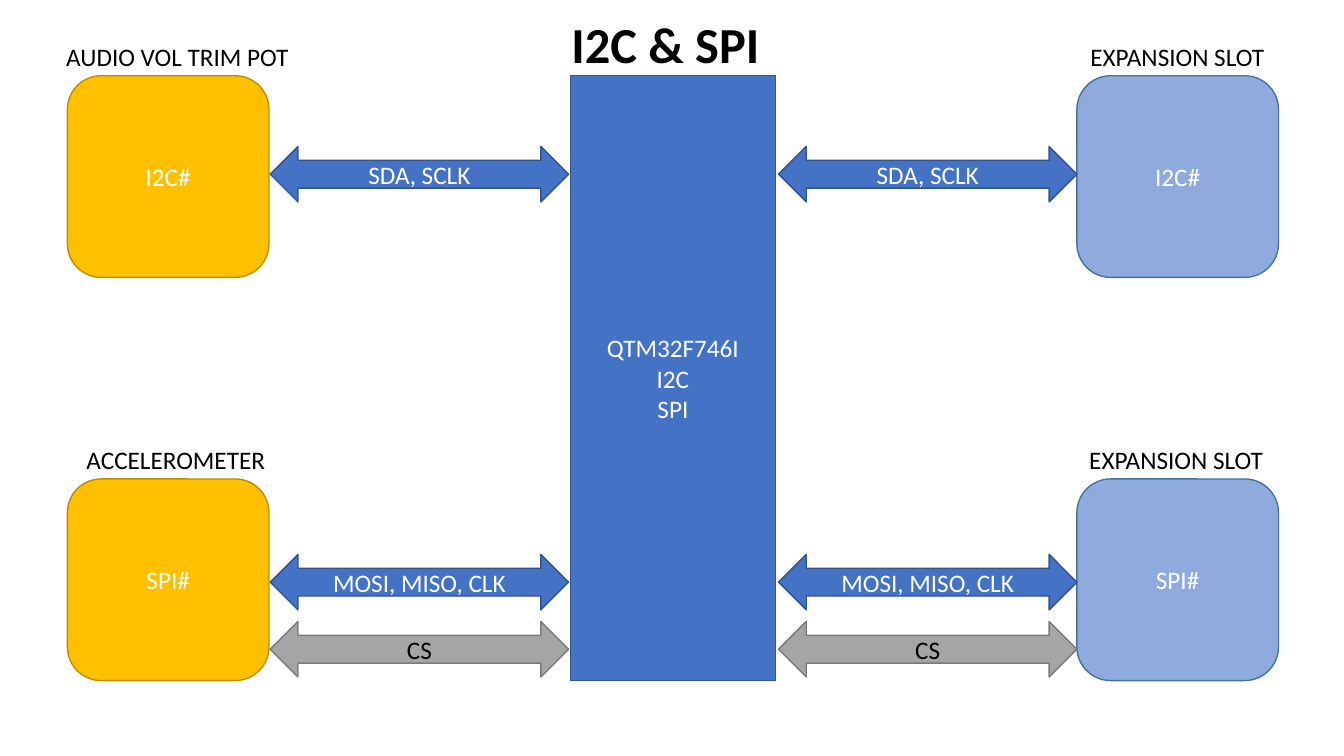
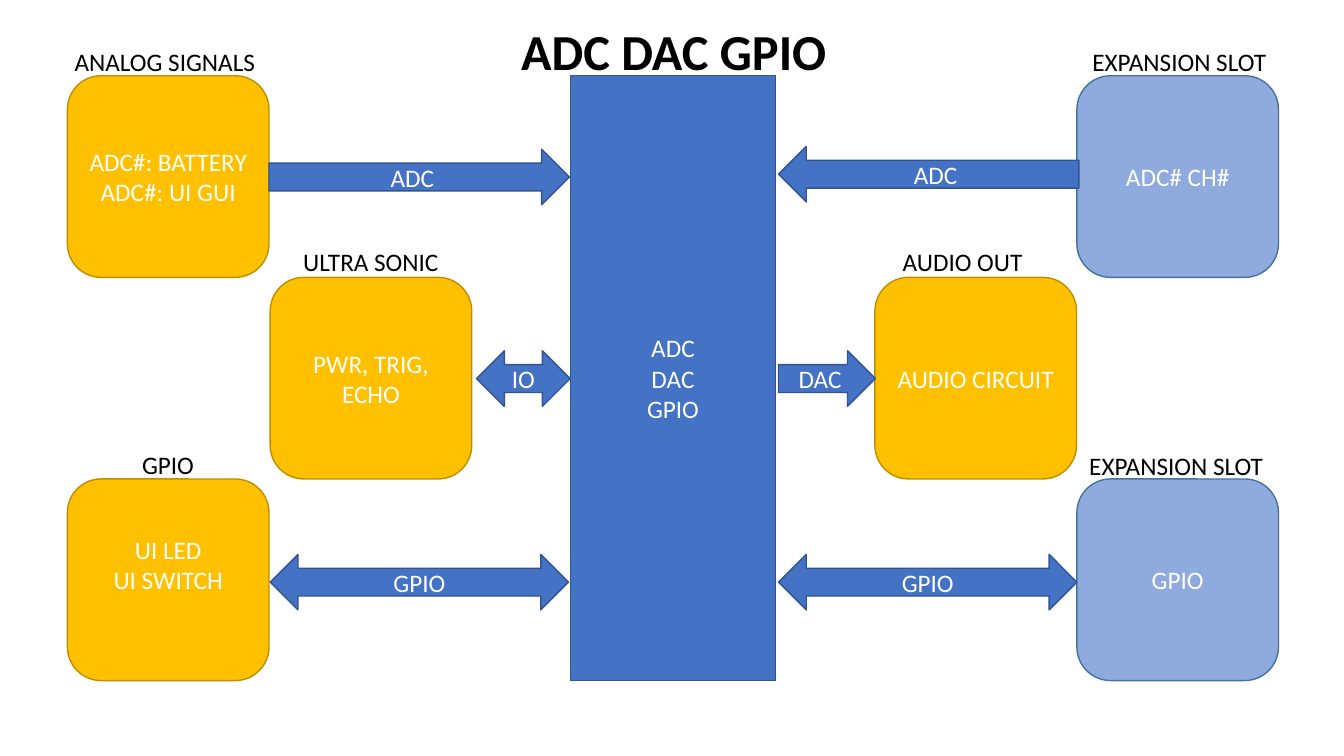
from pptx import Presentation
from pptx.dml.color import RGBColor
from pptx.enum import shapes, text
from pptx.util import Cm, Pt

COLORS = {
    "black": "000000", "white": "FFFFFF",
    "amber": "FFC000", "amber_edge": "BD8E00",
    "blue": "4472C4", "blue_edge": "325491",
    "sky": "8FAADC", "sky_edge": "43739E",
    "grey": "A5A5A5", "grey_edge": "7A7A7A",
}
FONT = "Calibri"
FORMS = shapes.MSO_SHAPE
BOTH, RIGHTWARD, LEFTWARD = FORMS.LEFT_RIGHT_ARROW, FORMS.RIGHT_ARROW, FORMS.LEFT_ARROW

# Shared grid, in centimetres
BOX = 5.08
LEFT, INNER_LEFT, INNER_RIGHT, RIGHT = 1.7, 6.81, 22.05, 27.14
TOP, MIDDLE, BOTTOM = 1.91, 6.99, 12.07
CHIP_LEFT, CHIP_WIDTH, CHIP_HEIGHT = 14.38, 5.16, 15.24
BUS_LEFT, BUS_RIGHT, BUS_WIDTH, BUS_HEIGHT = 6.81, 19.62, 7.52, 1.4
BUS_TOP, BUS_MIDDLE, BUS_BOTTOM, BUS_SELECT = 3.69, 8.84, 13.97, 15.66
LABEL_HEIGHT, TITLE_HEIGHT = 1.03, 1.8


def write_text(holder, words, size=18, color="white", bold=False,
               align=text.PP_ALIGN.CENTER, anchor=text.MSO_ANCHOR.MIDDLE,
               wrap=True, fit=text.MSO_AUTO_SIZE.NONE, bottom=0.13):
    """Fill a shape with one paragraph per line of words and format it."""
    frame = holder.text_frame
    frame.text = words
    frame.word_wrap, frame.auto_size, frame.vertical_anchor = wrap, fit, anchor
    frame.margin_left = frame.margin_right = Cm(0.25)
    frame.margin_top, frame.margin_bottom = Cm(0.13), Cm(bottom)
    for paragraph in frame.paragraphs:
        paragraph.alignment = align
        font = paragraph.font
        font.name, font.size, font.bold = FONT, Pt(size), bold
        font.color.rgb = RGBColor.from_string(COLORS[color])


def add_block(slide, form, place, words, fill, **style):
    """Draw a filled, outlined shape at left, top, width, height with its text."""
    block = slide.shapes.add_shape(form, *(Cm(length) for length in place))
    block.shadow.inherit = False
    block.fill.solid()
    block.fill.fore_color.rgb = RGBColor.from_string(COLORS[fill])
    block.line.color.rgb = RGBColor.from_string(COLORS[fill + "_edge"])
    block.line.width = Pt(1)
    write_text(block, words, **style)


# Title: words, left, top, width. Labels: words, left, top, width.
# Modules: words, left, top, fill, bottom inset.
# Buses: words, form, left, top, width, fill.
diagrams = [
    {
        "title": ("I2C & SPI", 14.15, 0.2, 5.28),
        "chip": "QTM32F746I\nI2C\nSPI",
        "labels": [
            ("AUDIO VOL TRIM POT", 1.42, 0.91, 6.17),
            ("ACCELEROMETER", 1.93, 11.07, 5.05),
            ("EXPANSION SLOT", 27.23, 0.91, 4.93),
            ("EXPANSION SLOT", 27.2, 11.07, 4.93),
        ],
        "modules": [
            ("I2C#", LEFT, TOP, "amber", 0.13),
            ("SPI#", LEFT, BOTTOM, "amber", 0.13),
            ("I2C#", RIGHT, TOP, "sky", 0.13),
            ("SPI#", RIGHT, BOTTOM, "sky", 0.13),
        ],
        "buses": [
            (words, BOTH, left, top, BUS_WIDTH, fill)
            for left in (BUS_LEFT, BUS_RIGHT)
            for words, top, fill in (
                ("SDA, SCLK", BUS_TOP, "blue"),
                ("MOSI, MISO, CLK", BUS_BOTTOM, "blue"),
                ("CS", BUS_SELECT, "grey"),
            )
        ],
    },
    {
        "title": ("ADC DAC GPIO", 12.88, 0.38, 8.28),
        "chip": "ADC\nDAC\nGPIO",
        "labels": [
            ("ANALOG SIGNALS", 1.63, 1.04, 5.11),
            ("GPIO", 3.33, 11.2, 1.83),
            ("EXPANSION SLOT", 27.28, 1.04, 4.93),
            ("EXPANSION SLOT", 27.2, 11.23, 4.93),
            ("ULTRA SONIC", 7.39, 6.07, 3.96),
            ("AUDIO OUT", 22.5, 6.07, 3.56),
        ],
        "modules": [
            ("ADC#: BATTERY\nADC#: UI GUI", LEFT, TOP, "amber", 0.13),
            ("UI LED\nUI SWITCH", LEFT, BOTTOM, "amber", 0.9),
            ("ADC# CH#", RIGHT, TOP, "sky", 0.13),
            ("GPIO", RIGHT, BOTTOM, "sky", 0.13),
            ("PWR, TRIG, ECHO", INNER_LEFT, MIDDLE, "amber", 0.13),
            ("AUDIO CIRCUIT", INNER_RIGHT, MIDDLE, "amber", 0.13),
        ],
        "buses": [
            ("ADC", RIGHTWARD, 6.78, 3.76, 7.57, "blue"),
            ("ADC", LEFTWARD, BUS_RIGHT, BUS_TOP, 7.57, "blue"),
            ("IO", BOTH, 12.01, BUS_MIDDLE, 2.36, "blue"),
            ("DAC", RIGHTWARD, BUS_RIGHT, BUS_MIDDLE, 2.44, "blue"),
            ("GPIO", BOTH, BUS_LEFT, BUS_BOTTOM, BUS_WIDTH, "blue"),
            ("GPIO", BOTH, BUS_RIGHT, BUS_BOTTOM, BUS_WIDTH, "blue"),
        ],
    },
]

deck = Presentation()
deck.slide_width, deck.slide_height = Cm(33.87), Cm(19.05)
title_only = deck.slide_layouts[5]
caption_style = dict(color="black", align=text.PP_ALIGN.LEFT,
                     anchor=text.MSO_ANCHOR.TOP, wrap=False,
                     fit=text.MSO_AUTO_SIZE.SHAPE_TO_FIT_TEXT)

for diagram in diagrams:
    slide = deck.slides.add_slide(title_only)

    heading = slide.shapes.title
    words, left, top, width = diagram["title"]
    heading.left, heading.top = Cm(left), Cm(top)
    heading.width, heading.height = Cm(width), Cm(TITLE_HEIGHT)
    write_text(heading, words, size=36, bold=True, **caption_style)

    add_block(slide, FORMS.RECTANGLE, (CHIP_LEFT, TOP, CHIP_WIDTH, CHIP_HEIGHT),
              diagram["chip"], "blue")

    for words, left, top, fill, bottom in diagram["modules"]:
        add_block(slide, FORMS.ROUNDED_RECTANGLE, (left, top, BOX, BOX),
                  words, fill, bottom=bottom)

    for words, form, left, top, width, fill in diagram["buses"]:
        add_block(slide, form, (left, top, width, BUS_HEIGHT), words, fill,
                  color="black" if fill == "grey" else "white")

    for words, left, top, width in diagram["labels"]:
        label = slide.shapes.add_textbox(Cm(left), Cm(top), Cm(width), Cm(LABEL_HEIGHT))
        write_text(label, words, **caption_style)

deck.save("out.pptx")
